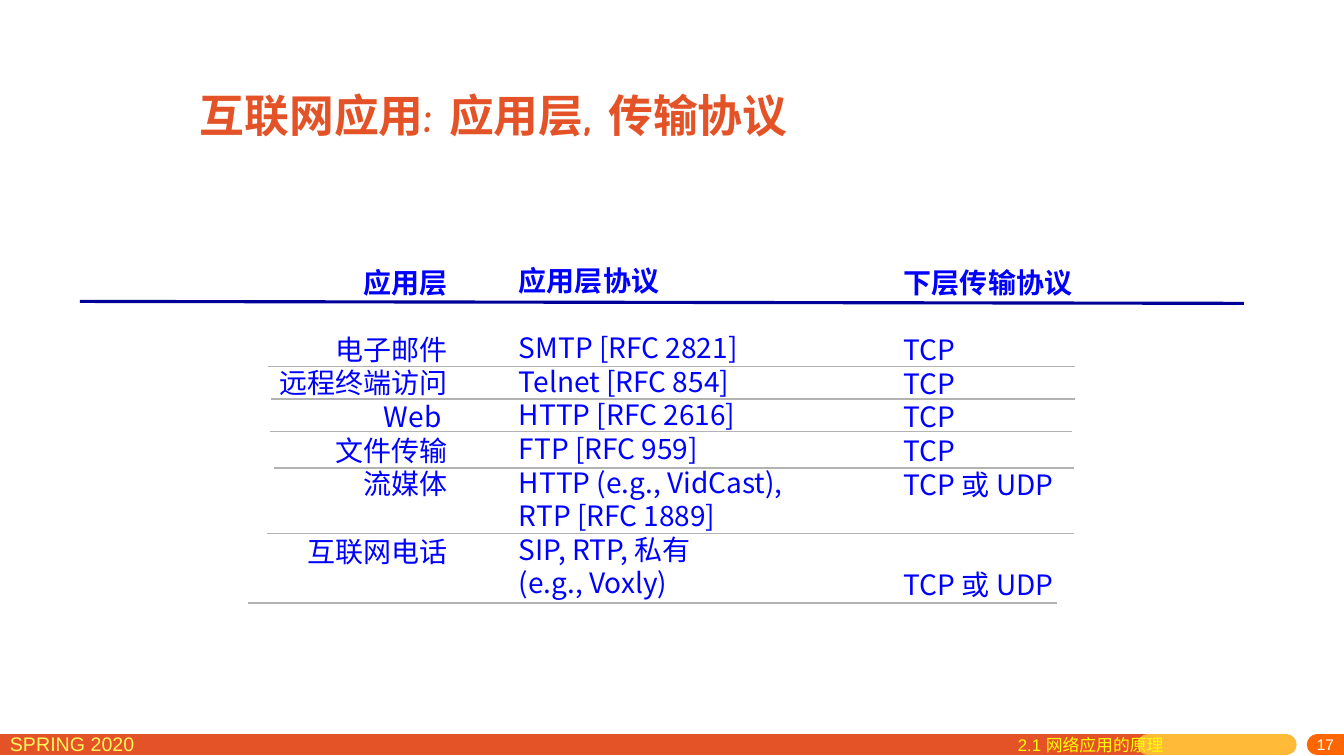
from dataclasses import dataclass

import pptx
import pptx.dml.color
import pptx.enum.shapes
import pptx.enum.text
import pptx.oxml.ns
import pptx.util
from lxml import etree

Pt = pptx.util.Pt
ALIGN = pptx.enum.text.PP_ALIGN
ANCHOR = pptx.enum.text.MSO_ANCHOR
qn = pptx.oxml.ns.qn


@dataclass(frozen=True)
class Theme:
    orange: str = "E45327"
    amber: str = "FFBA37"
    deep_orange: str = "FF6600"
    pale_yellow: str = "FFF65C"
    yellow: str = "FFFF00"
    white: str = "FFFFFF"
    blue: str = "0000FF"
    navy: str = "000099"
    gray: str = "B2B2B2"
    title_font: str = "Comic Neue"
    body_font: str = "Noto Sans CJK SC"
    footer_font: str = "Arial"
    title_size: int = 32
    body_size: int = 20
    term_size: int = 14
    section_size: int = 12
    number_size: int = 11


theme = Theme()


def style_text(para, font, size, color, bold=False):
    """Format every run, with one typeface for Latin and Chinese text."""
    for span in para.runs:
        span.font.name = font
        span.font.size = Pt(size)
        span.font.bold = bold
        span.font.color.rgb = pptx.dml.color.RGBColor.from_string(color)
        east_asian = etree.Element(qn("a:ea"), typeface=font)
        span.font._element.find(qn("a:latin")).addnext(east_asian)


def add_line(x1, y1, x2, y2, color, width, cap="flat"):
    line = slide.shapes.add_connector(
        pptx.enum.shapes.MSO_CONNECTOR.STRAIGHT, Pt(x1), Pt(y1), Pt(x2), Pt(y2))
    line.line.color.rgb = pptx.dml.color.RGBColor.from_string(color)
    line.line.width = Pt(width)
    properties = line._element.spPr
    properties.find(qn("a:ln")).set("cap", cap)
    etree.SubElement(properties, qn("a:effectLst"))


deck = pptx.Presentation()
deck.slide_width = Pt(960)
deck.slide_height = Pt(540)
slide = deck.slides.add_slide(deck.slide_layouts[5])

# Footer bars
for start, end, color, cap in [
    (0, 820, theme.orange, "flat"),
    (820, 918.7, theme.amber, "rnd"),
    (941, 960, theme.deep_orange, "rnd"),
]:
    add_line(start, 532, end, 532, color, 15, cap)

# Footer texts
for text, left, top, width, height, size, color, align in [
    ("SPRING 2020", 0, 520, 165, 22, theme.term_size, theme.pale_yellow, ALIGN.LEFT),
    ("17", 774, 521, 186, 22, theme.number_size, theme.white, ALIGN.RIGHT),
    ("2.1 网络应用的原理", 720, 521, 210, 22, theme.section_size, theme.yellow, ALIGN.LEFT),
]:
    box = slide.shapes.add_textbox(Pt(left), Pt(top), Pt(width), Pt(height))
    box.text_frame.word_wrap = True
    box.text_frame.vertical_anchor = ANCHOR.MIDDLE
    para = box.text_frame.paragraphs[0]
    para.text = text
    para.alignment = align
    style_text(para, theme.footer_font, size, color)

# Title
title = slide.shapes.title
title.left, title.top, title.width, title.height = Pt(135.4), Pt(49), Pt(689), Pt(66)
title.text_frame.auto_size = pptx.enum.text.MSO_AUTO_SIZE.NONE
title.text_frame.vertical_anchor = ANCHOR.MIDDLE
para = title.text_frame.paragraphs[0]
para.text = "互联网应用: 应用层, 传输协议"
para.alignment = ALIGN.LEFT
style_text(para, theme.title_font, theme.title_size, theme.orange, bold=True)

# Columns: each entry is a text and the number of rows left empty above it
ROW = 24
columns = [
    (191.5, 185.8, 135.4, ALIGN.RIGHT, [
        ("应用层", 0), ("电子邮件", 1), ("远程终端访问", 0), ("Web ", 0),
        ("文件传输", 0), ("流媒体", 0), ("互联网电话", 1)]),
    (363.6, 184.6, 224, ALIGN.LEFT, [
        ("应用层协议", 0), ("SMTP [RFC 2821]", 1), ("Telnet [RFC 854]", 0),
        ("HTTP [RFC 2616]", 0), ("FTP [RFC 959]", 0),
        ("HTTP (e.g., VidCast),\vRTP [RFC 1889]", 0),
        ("SIP, RTP, 私有", 0), ("(e.g., Voxly)", 0)]),
    (638.6, 186, 225, ALIGN.LEFT, [
        ("下层传输协议", 0), ("TCP", 1), ("TCP", 0), ("TCP", 0), ("TCP", 0),
        ("TCP 或 UDP", 0), ("TCP 或 UDP", 2)]),
]
for left, top, width, align, entries in columns:
    box = slide.shapes.add_textbox(Pt(left), Pt(top), Pt(width), Pt(10 * ROW + 7.2))
    frame = box.text_frame
    frame.word_wrap = align == ALIGN.LEFT
    for index, (text, empty_rows) in enumerate(entries):
        para = frame.add_paragraph() if index else frame.paragraphs[0]
        para.text = text
        para.alignment = align
        para.line_spacing = Pt(ROW)
        para.space_before = Pt(empty_rows * ROW)
        style_text(para, theme.body_font, theme.body_size, theme.blue, bold=index == 0)

# Rules under the header and the rows
add_line(57, 215.3, 888.5, 216.7, theme.navy, 2.25)
for start, end, y in [
    (191.5, 768.2, 262), (193.7, 768.2, 285.1), (193, 766, 308.2),
    (195.8, 767.5, 334.4), (190.8, 766.8, 380.9), (177.1, 755.3, 430.6),
]:
    add_line(start, y, end, y, theme.gray, 1)

deck.save("out.pptx")
